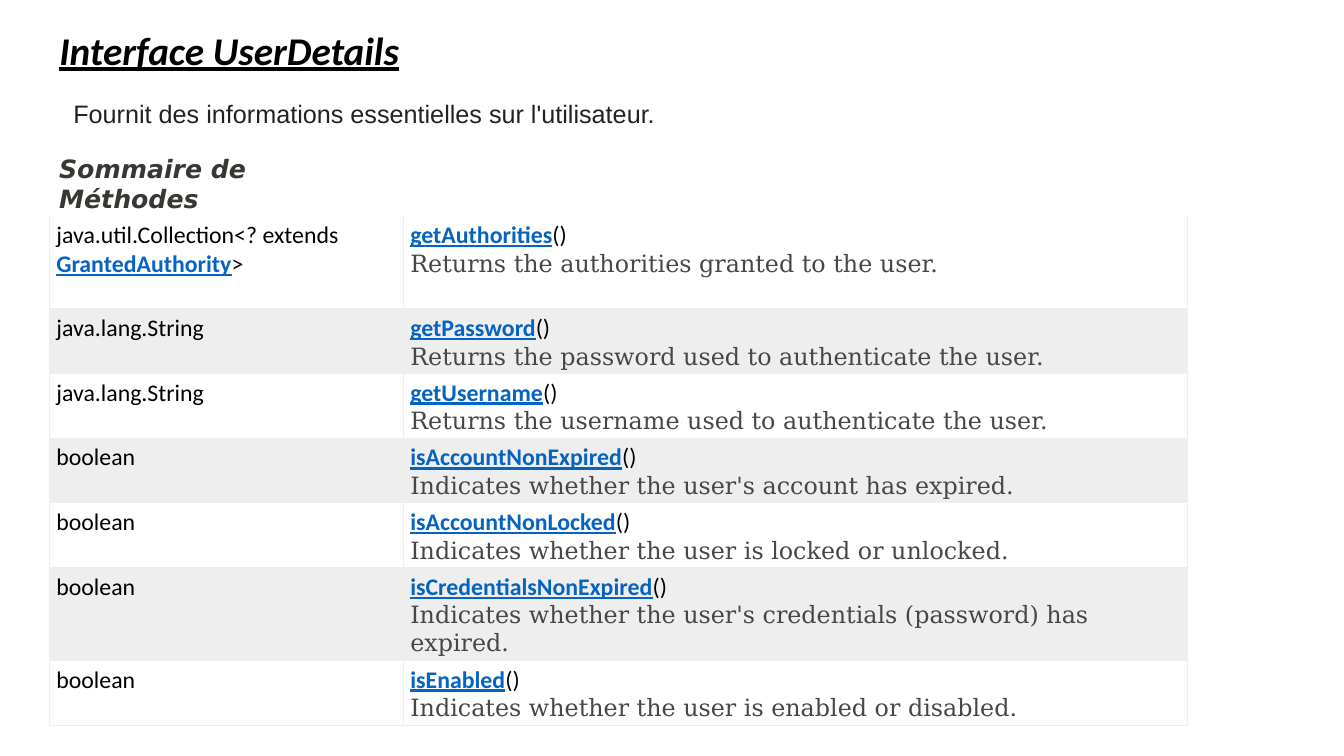
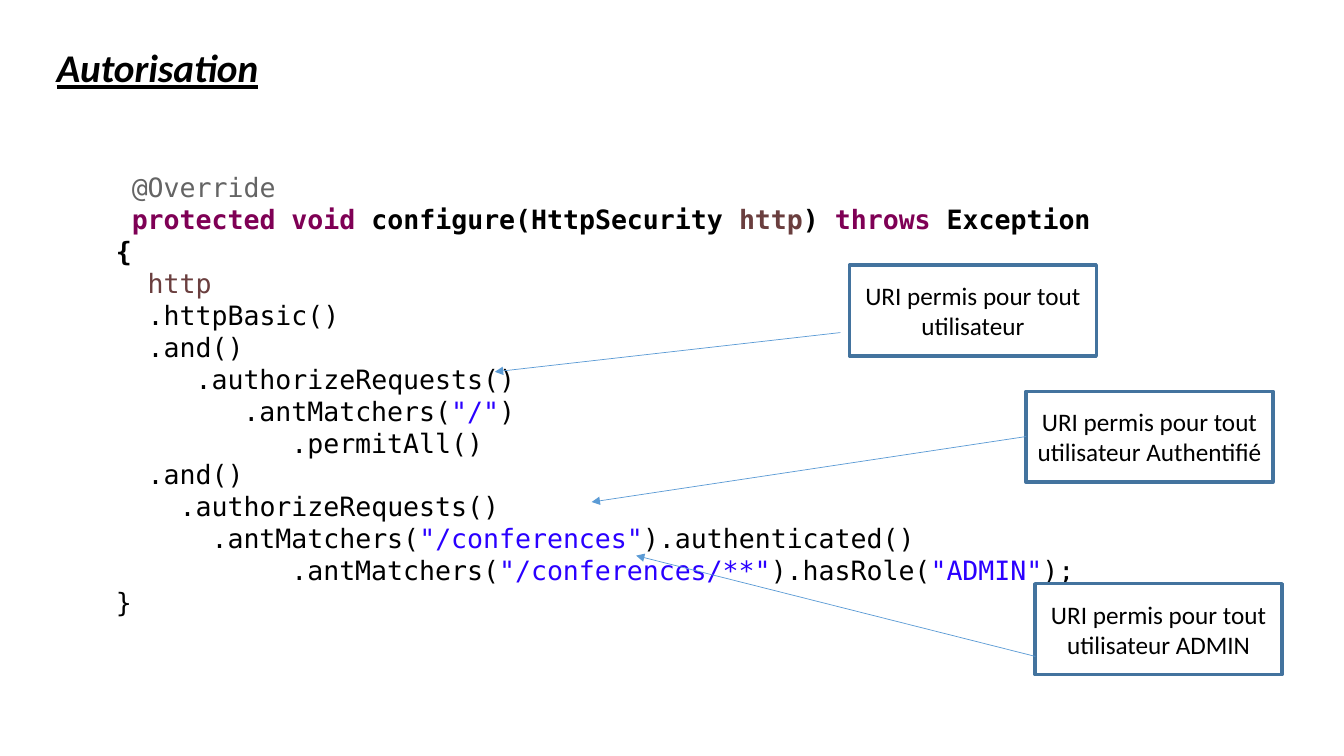
"""Build two slides: the UserDetails interface and the authorisation rules."""
from lxml.etree import SubElement
from pptx import Presentation
from pptx.dml.color import RGBColor
from pptx.enum.shapes import MSO_CONNECTOR as Connector, MSO_SHAPE as Preset
from pptx.enum.text import MSO_ANCHOR as Anchor, MSO_AUTO_SIZE as AutoSize, PP_ALIGN as Align
from pptx.oxml.ns import qn
from pptx.util import Cm, Pt

COLORS = {
    "black": "000000", "intro": "222222", "heading": "353833", "link": "0563C1",
    "description": "474747", "white": "FFFFFF", "band": "EEEEEF", "grid": "EEEEEE",
    "annotation": "646464", "keyword": "7F0055", "parameter": "6A3E3E",
    "string": "2A00FF", "box": "43739E", "arrow": "5B9BD5",
}


def style(name, size, color="black", **flags):
    return {"name": name, "size": Pt(size), "color": color, **flags}


MONO, CODE_SIZE = "DejaVu Sans Mono", 19
STYLES = {
    "title": style("Calibri", 28, bold=True, italic=True, underline=True),
    "intro": style("Arial", 18, "intro"),
    "heading": style("DejaVu Sans", 18, "heading", bold=True, italic=True),
    "type": style("Calibri", 17),
    "link": style("Calibri", 17, "link", bold=True, underline=True),
    "description": style("DejaVu Serif", 17, "description"),
    "label": style("Calibri", 18),
    "code": style(MONO, CODE_SIZE),
    "strong": style(MONO, CODE_SIZE, bold=True),
    "annotation": style(MONO, CODE_SIZE, "annotation"),
    "keyword": style(MONO, CODE_SIZE, "keyword", bold=True),
    "strong parameter": style(MONO, CODE_SIZE, "parameter", bold=True),
    "parameter": style(MONO, CODE_SIZE, "parameter"),
    "string": style(MONO, CODE_SIZE, "string"),
}

INTRO = "Fournit des informations essentielles sur l'utilisateur."
HEADING = "Sommaire de Méthodes"
METHODS = [
    ([("type", "java.util.Collection<? extends "), ("link", "GrantedAuthority"), ("type", ">")],
     "getAuthorities", "Returns the authorities granted to the user."),
    ([("type", "java.lang.String")],
     "getPassword", "Returns the password used to authenticate the user."),
    ([("type", "java.lang.String")],
     "getUsername", "Returns the username used to authenticate the user."),
    ([("type", "boolean")],
     "isAccountNonExpired", "Indicates whether the user's account has expired."),
    ([("type", "boolean")],
     "isAccountNonLocked", "Indicates whether the user is locked or unlocked."),
    ([("type", "boolean")],
     "isCredentialsNonExpired", "Indicates whether the user's credentials (password) has expired."),
    ([("type", "boolean")],
     "isEnabled", "Indicates whether the user is enabled or disabled."),
]
COLUMN_WIDTHS = (8.92, 19.76)
FIRST_ROW_HEIGHT, ROW_HEIGHT = 2.34, 1.63
CELL_MARGINS = {"margin_left": Cm(0.18), "margin_top": Cm(0.13),
                "margin_right": Cm(0.05), "margin_bottom": Cm(0.05)}

CODE = [
    (1, [("annotation", "@Override")]),
    (1, [("keyword", "protected void"), ("strong", " configure(HttpSecurity "),
         ("strong parameter", "http"), ("strong", ") "), ("keyword", "throws"),
         ("strong", " Exception {")]),
    (2, [("parameter", "http")]),
    (2, [("code", ".httpBasic()")]),
    (2, [("code", ".and()")]),
    (5, [("code", ".authorizeRequests()")]),
    (8, [("code", ".antMatchers("), ("string", '"/"'), ("code", ")")]),
    (11, [("code", ".permitAll()")]),
    (2, [("code", ".and()")]),
    (4, [("code", ".authorizeRequests()")]),
    (6, [("code", ".antMatchers("), ("string", '"/conferences"'),
         ("code", ").authenticated()")]),
    (11, [("code", ".antMatchers("), ("string", '"/conferences/**"'),
          ("code", ").hasRole("), ("string", '"ADMIN"'), ("code", ");")]),
    (0, [("code", "}")]),
]
CHARACTER_WIDTH = Pt(CODE_SIZE * 0.6)
LABEL_SIZE = (6.22, 2.29)
LABELS = [
    ("URI permis pour tout utilisateur", (21.41, 6.68), (21.18, 8.38), (12.47, 9.37)),
    ("URI permis pour tout utilisateur Authentifié", (25.86, 9.86), (25.86, 11), (14.91, 12.65)),
    ("URI permis pour tout utilisateur ADMIN", (26.09, 14.71), (26.09, 16.54), (16.03, 14)),
]


def rgb(color):
    return RGBColor.from_string(COLORS[color])


def lengths(values):
    return [Cm(value) for value in values]


def add_runs(paragraph, runs):
    for style_name, text in runs:
        run = paragraph.add_run()
        run.text = text
        for attribute, value in STYLES[style_name].items():
            if attribute == "color":
                run.font.color.rgb = rgb(value)
            else:
                setattr(run.font, attribute, value)


def fill_frame(frame, paragraphs):
    for index, runs in enumerate(paragraphs):
        paragraph = frame.add_paragraph() if index else frame.paragraphs[0]
        add_runs(paragraph, runs)


def add_text(slide, box, paragraphs):
    frame = slide.shapes.add_textbox(*lengths(box)).text_frame
    frame.word_wrap = True
    fill_frame(frame, paragraphs)
    return frame


def add_titled_slide(presentation, text, box):
    slide = presentation.slides.add_slide(presentation.slide_layouts[5])
    title = slide.shapes.title
    title.left, title.top, title.width, title.height = lengths(box)
    frame = title.text_frame
    for attribute, value in {"auto_size": AutoSize.NONE, "word_wrap": False,
                             "vertical_anchor": Anchor.TOP}.items():
        setattr(frame, attribute, value)
    fill_frame(frame, [[("title", text)]])
    frame.paragraphs[0].alignment = Align.LEFT
    return slide


def add_borders(cell, edges):
    properties = cell._tc.get_or_add_tcPr()
    for edge in edges:
        line = SubElement(properties, qn(f"a:ln{edge}"), w=str(Pt(0.5)))
        solid = SubElement(line, qn("a:solidFill"))
        SubElement(solid, qn("a:srgbClr"), val=COLORS["grid"])


def add_method_table(slide, left, top):
    heights = [FIRST_ROW_HEIGHT] + [ROW_HEIGHT] * (len(METHODS) - 1)
    box = lengths((left, top, sum(COLUMN_WIDTHS), sum(heights)))
    table = slide.shapes.add_table(len(METHODS), len(COLUMN_WIDTHS), *box).table
    table.first_row = table.horz_banding = False
    for column, width in zip(table.columns, COLUMN_WIDTHS):
        column.width = Cm(width)
    for index, (row, height, method) in enumerate(zip(table.rows, heights, METHODS)):
        row.height = Cm(height)
        return_type, name, description = method
        contents = ([return_type],
                    [[("link", name), ("type", "()")], [("description", description)]])
        for cell, paragraphs in zip(row.cells, contents):
            add_borders(cell, "LRTB" if index else "LRB")
            cell.fill.solid()
            cell.fill.fore_color.rgb = rgb("band" if index % 2 else "white")
            for attribute, value in CELL_MARGINS.items():
                setattr(cell, attribute, value)
            fill_frame(cell.text_frame, paragraphs)


def add_code(slide, box):
    frame = add_text(slide, box, [runs for _, runs in CODE])
    for paragraph, (indent, _) in zip(frame.paragraphs, CODE):
        properties = paragraph._p.get_or_add_pPr()
        properties.set("marL", "0")
        properties.set("indent", str(indent * CHARACTER_WIDTH))


def add_label(slide, text, corner):
    shape = slide.shapes.add_shape(Preset.RECTANGLE, *lengths(corner + LABEL_SIZE))
    shape.shadow.inherit = False
    shape.fill.background()
    shape.line.color.rgb = rgb("box")
    shape.line.width = Pt(2.5)
    frame = shape.text_frame
    frame.word_wrap = True
    frame.vertical_anchor = Anchor.MIDDLE
    fill_frame(frame, [[("label", text)]])
    frame.paragraphs[0].alignment = Align.CENTER


def add_arrow(slide, start, end):
    arrow = slide.shapes.add_connector(Connector.STRAIGHT, *lengths(start + end))
    arrow.line.color.rgb = rgb("arrow")
    arrow.line.width = Pt(0.5)
    SubElement(arrow.line._get_or_add_ln(), qn("a:tailEnd"), type="triangle")
    SubElement(arrow._element.spPr, qn("a:effectLst"))


def main():
    presentation = Presentation()
    presentation.slide_width, presentation.slide_height = lengths((33.87, 19.05))

    slide = add_titled_slide(presentation, "Interface UserDetails", (1.24, 0.53, 9.17, 1.45))
    add_text(slide, (1.6, 2.35, 16.94, 1.02), [[("intro", INTRO)]])
    add_method_table(slide, 1.24, 5.44)
    add_text(slide, (1.24, 3.73, 8.79, 1.02), [[("heading", HEADING)]])

    slide = add_titled_slide(presentation, "Autorisation", (1.17, 0.97, 5.66, 1.45))
    add_code(slide, (2.67, 4.19, 25.78, 10.82))
    for text, corner, _, _ in LABELS:
        add_label(slide, text, corner)
    for _, _, start, end in LABELS:
        add_arrow(slide, start, end)

    presentation.save("out.pptx")


if __name__ == "__main__":
    main()
